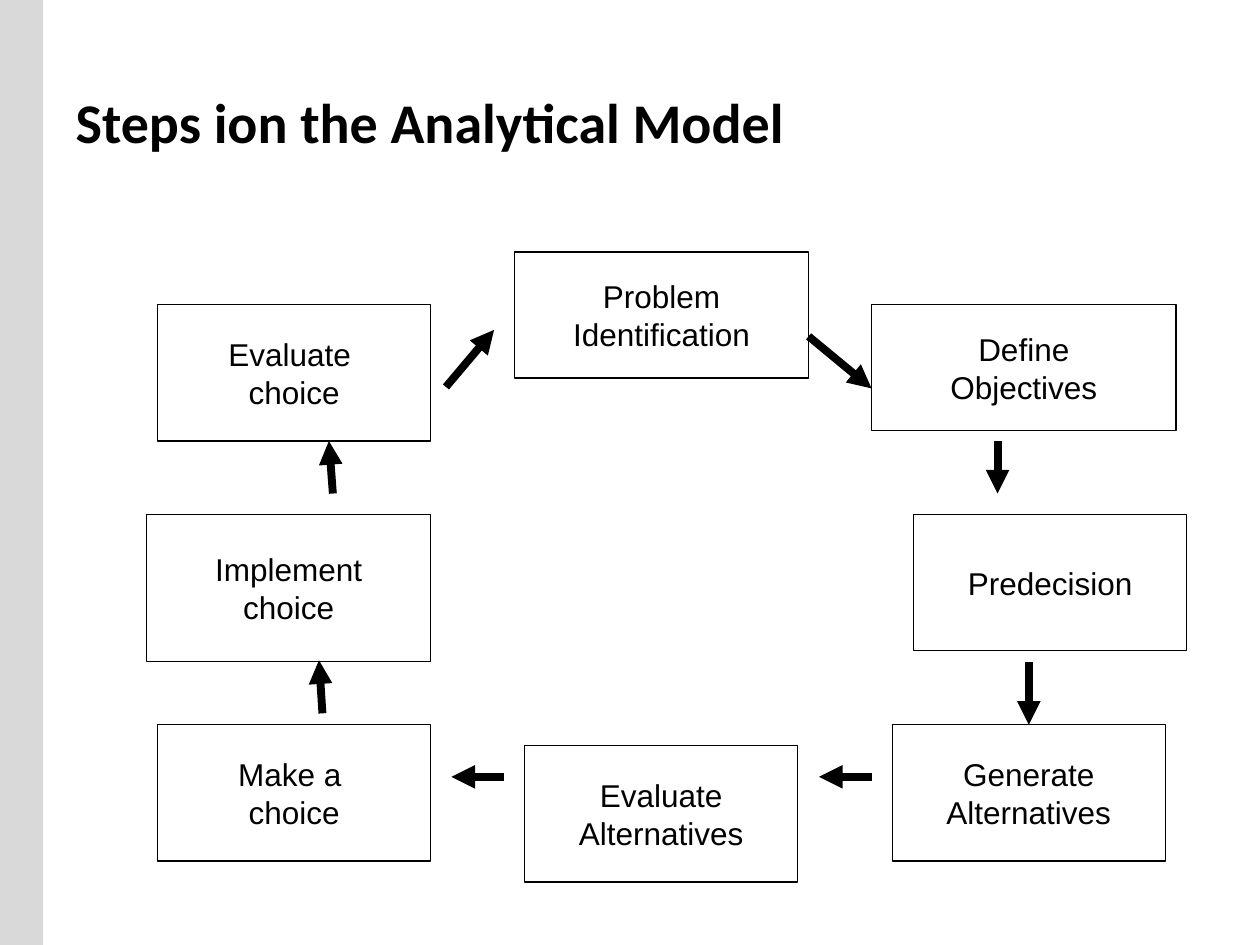
from dataclasses import dataclass

from lxml import etree
from pptx import Presentation
from pptx import util as u
from pptx.dml import color
from pptx.enum import shapes, text
from pptx.oxml import ns


@dataclass
class Theme:
    """Colours, fonts and sizes of the slide."""
    ink: str = "000000"
    paper: str = "FFFFFF"
    band: str = "D9D9D9"
    head: str = "Calibri"
    body: str = "Arial"
    big: float = 32
    small: float = 18
    thin: float = 0.75
    thick: float = 4.5


def rgb(code):
    """Turn a hex code into a colour."""
    return color.RGBColor.from_string(code)


class Deck:
    """Holds the theme and the current slide."""

    def __init__(self, theme, wide, high):
        """Start a deck with one title slide."""
        self.theme = theme
        self.pres = Presentation()
        self.pres.slide_width, self.pres.slide_height = u.Cm(wide), u.Cm(high)
        self.slide = self.pres.slides.add_slide(self.pres.slide_layouts[5])

    def font(self, para, name, size, bold=False):
        """Set the font of a paragraph."""
        font = para.font
        font.name, font.size, font.bold = name, u.Pt(size), bold
        font.color.rgb = rgb(self.theme.ink)

    def title(self, words, *area):
        """Fill and place the title."""
        shape = self.slide.shapes.title
        shape.left, shape.top, shape.width, shape.height = map(u.Cm, area)
        frame = shape.text_frame
        frame.text = words
        frame.auto_size = text.MSO_AUTO_SIZE.NONE
        frame.vertical_anchor = text.MSO_ANCHOR.MIDDLE
        para = frame.paragraphs[0]
        para.alignment = text.PP_ALIGN.LEFT
        self.font(para, self.theme.head, self.theme.big, True)

    def rect(self, area, fill, line=None):
        """Draw a flat rectangle."""
        kind = shapes.MSO_SHAPE.RECTANGLE
        shape = self.slide.shapes.add_shape(kind, *map(u.Cm, area))
        shape.shadow.inherit = False
        shape.fill.solid()
        shape.fill.fore_color.rgb = rgb(fill)
        if line:
            shape.line.color.rgb = rgb(line)
            shape.line.width = u.Pt(self.theme.thin)
        else:
            shape.line.fill.background()
        return shape

    def step(self, words, *area):
        """Draw a framed box with one paragraph per line."""
        frame = self.rect(area, self.theme.paper, self.theme.ink).text_frame
        frame.text = words
        frame.word_wrap = False
        frame.vertical_anchor = text.MSO_ANCHOR.MIDDLE
        for para in frame.paragraphs:
            para.alignment = text.PP_ALIGN.CENTER
            self.font(para, self.theme.body, self.theme.small)

    def arrow(self, *ends):
        """Draw a thick arrow from the first point to the second."""
        kind = shapes.MSO_CONNECTOR.STRAIGHT
        link = self.slide.shapes.add_connector(kind, *map(u.Cm, ends))
        link.line.color.rgb = rgb(self.theme.ink)
        link.line.width = u.Pt(self.theme.thick)
        line = link.line._get_or_add_ln()
        etree.SubElement(line, ns.qn("a:tailEnd"), type="triangle")
        etree.SubElement(link._element.spPr, ns.qn("a:effectLst"))


STEPS = [
    ("Problem\nIdentification", 10.37, 5.08, 5.93, 2.54),
    ("Define\nObjectives", 17.57, 6.14, 6.14, 2.54),
    ("Predecision", 18.42, 10.37, 5.5, 2.75),
    ("Generate\nAlternatives", 17.99, 14.61, 5.5, 2.75),
    ("Evaluate\nAlternatives", 10.58, 15.03, 5.5, 2.75),
    ("Make a \nchoice", 3.18, 14.61, 5.5, 2.75),
    ("Implement\nchoice", 2.96, 10.37, 5.72, 2.96),
    ("Evaluate \nchoice", 3.18, 6.14, 5.5, 2.75),
]
ARROWS = [
    (16.3, 6.78, 17.57, 7.83),
    (20.11, 8.89, 20.11, 9.95),
    (20.74, 13.34, 20.74, 14.61),
    (17.57, 15.66, 16.51, 15.66),
    (10.16, 15.66, 9.1, 15.66),
    (6.5, 14.38, 6.43, 13.31),
    (6.71, 9.95, 6.63, 8.89),
    (8.99, 7.8, 9.96, 6.65),
]


def main():
    """Build the slide and save it."""
    deck = Deck(Theme(), 25.4, 19.05)
    deck.rect((0, 0, 0.87, 19.05), deck.theme.band)
    deck.title("Steps ion the Analytical Model", 1.27, 0.85, 23.28, 3.18)
    for item in STEPS:
        deck.step(*item)
    for ends in ARROWS:
        deck.arrow(*ends)
    deck.pres.save("out.pptx")


main()
